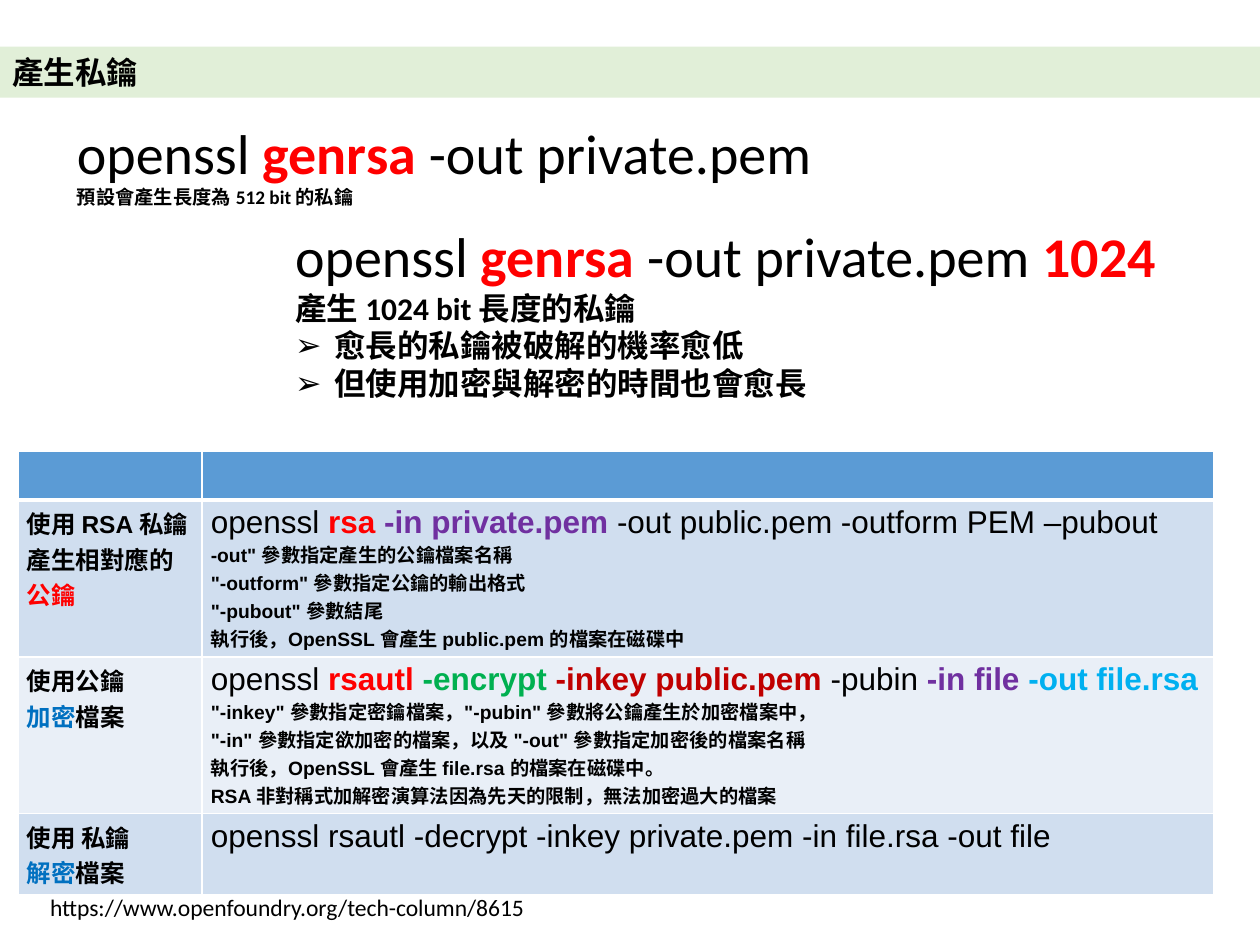
from lxml import etree
from pptx import Presentation
from pptx.dml.color import RGBColor
from pptx.enum.shapes import MSO_SHAPE
from pptx.enum.text import MSO_ANCHOR, PP_ALIGN
from pptx.oxml.ns import qn
from pptx.util import Cm, Pt

RECTANGLE = MSO_SHAPE.RECTANGLE
MIDDLE = MSO_ANCHOR.MIDDLE
LEFT = PP_ALIGN.LEFT

BLACK, RED, PURPLE, BLUE = "000000", "FF0000", "7030A0", "0070C0"
GREEN, DARK_RED, SKY = "00B050", "C00000", "00B0F0"
WHITE, HEADER, BAND_DARK, BAND_LIGHT = "FFFFFF", "5B9BD5", "D0DEEF", "E9EFF7"
BODY_FONT, TABLE_FONT = "Calibri", "Arial"
COMMAND_SIZE, NOTE_SIZE, TASK_SIZE = 18, 11, 14


def color(hex_code):
    return RGBColor.from_string(hex_code)


def line(size, *runs, bullet=None):
    """Describe a paragraph; each run is (text, colour, bold)."""
    return size, runs, bullet


def notes(*texts):
    return [line(NOTE_SIZE, (text, BLACK, True)) for text in texts]


def add_bullet(paragraph, mark):
    properties = paragraph._p.get_or_add_pPr()
    properties.set("marL", str(Cm(0.79)))
    properties.set("indent", str(-Cm(0.79)))
    bullet_color = etree.SubElement(properties, qn("a:buClr"))
    etree.SubElement(bullet_color, qn("a:srgbClr"), val=BLACK)
    etree.SubElement(properties, qn("a:buFont"), typeface=TABLE_FONT)
    etree.SubElement(properties, qn("a:buChar"), char=mark)


def write(frame, lines, font_name):
    frame.word_wrap = True
    for index, (size, runs, bullet) in enumerate(lines):
        paragraph = frame.add_paragraph() if index else frame.paragraphs[0]
        paragraph.alignment = LEFT
        if bullet:
            add_bullet(paragraph, bullet)
        for text, hex_code, bold in runs:
            run = paragraph.add_run()
            run.text = text
            run.font.name = font_name
            run.font.size = Pt(size)
            run.font.bold = bold
            run.font.color.rgb = color(hex_code)


def add_title_bar(slide, left, top, width, height):
    bar = slide.shapes.add_shape(RECTANGLE, Cm(left), Cm(top), Cm(width), Cm(height))
    bar.shadow.inherit = False
    bar.fill.solid()
    bar.fill.fore_color.rgb = color("E1EFD8")
    bar.line.fill.background()
    bar.text_frame.vertical_anchor = MIDDLE
    write(bar.text_frame, [line(18, ("產生私鑰", BLACK, True))], BODY_FONT)


def add_text(slide, left, top, width, height, lines):
    box = slide.shapes.add_textbox(Cm(left), Cm(top), Cm(width), Cm(height))
    write(box.text_frame, lines, BODY_FONT)


def style_cell(cell, fill):
    """Give the cell white borders, thick under the header, and a fill."""
    properties = cell._tc.get_or_add_tcPr()
    for side in ("lnL", "lnR", "lnT", "lnB"):
        points = 3 if fill == HEADER and side == "lnB" else 1
        border = etree.SubElement(properties, qn(f"a:{side}"), w=str(Pt(points)))
        solid = etree.SubElement(border, qn("a:solidFill"))
        etree.SubElement(solid, qn("a:srgbClr"), val=WHITE)
    cell.fill.solid()
    cell.fill.fore_color.rgb = color(fill)
    cell.margin_left = cell.margin_right = Cm(0.18)
    cell.margin_top = cell.margin_bottom = Cm(0.1)


def add_command_table(slide, left, top, column_widths, row_heights, rows):
    table = slide.shapes.add_table(
        len(row_heights), len(column_widths), Cm(left), Cm(top),
        Cm(sum(column_widths)), Cm(sum(row_heights))).table
    for column, width in zip(table.columns, column_widths):
        column.width = Cm(width)
    for row, height, (fill, *contents) in zip(table.rows, row_heights, rows):
        row.height = Cm(height)
        for cell, lines in zip(row.cells, contents):
            style_cell(cell, fill)
            write(cell.text_frame, lines, TABLE_FONT)


def genrsa_command(*ending):
    return line(32, ("openssl ", BLACK, False), ("genrsa", RED, True), *ending)


def file_task(first, action):
    return [line(TASK_SIZE, (first, BLACK, True)),
            line(TASK_SIZE, (action, BLUE, True), ("檔案", BLACK, True))]


DEFAULT_KEY = [
    genrsa_command((" -out private.pem", BLACK, False)),
    *notes("預設會產生長度為 512 bit 的私鑰"),
]
LONG_KEY = [
    genrsa_command((" -out private.pem ", BLACK, False), ("1024", RED, True)),
    line(18, ("產生 1024 bit 長度的私鑰", BLACK, True)),
    line(18, ("愈長的私鑰被破解的機率愈低", BLACK, True), bullet="➢"),
    line(18, ("但使用加密與解密的時間也會愈長", BLACK, True), bullet="➢"),
]
PUBLIC_KEY_TASK = [line(TASK_SIZE, ("使用 RSA 私鑰產生相對應的", BLACK, True),
                        ("公鑰", RED, True))]
PUBLIC_KEY_COMMAND = [
    line(COMMAND_SIZE, ("openssl ", BLACK, False), ("rsa ", RED, True),
         ("-in private.pem ", PURPLE, True),
         ("-out public.pem -outform PEM –pubout", BLACK, False)),
    *notes('-out" 參數指定產生的公鑰檔案名稱',
           '"-outform" 參數指定公鑰的輸出格式',
           '"-pubout" 參數結尾',
           "執行後，OpenSSL 會產生 public.pem 的檔案在磁碟中"),
]
ENCRYPT_COMMAND = [
    line(COMMAND_SIZE, ("openssl ", BLACK, False), ("rsautl ", RED, True),
         ("-encrypt ", GREEN, True), ("-inkey public.pem ", DARK_RED, True),
         ("-pubin ", BLACK, False), ("-in file ", PURPLE, True),
         ("-out file.rsa", SKY, True)),
    *notes('"-inkey" 參數指定密鑰檔案，"-pubin" 參數將公鑰產生於加密檔案中，',
           '"-in" 參數指定欲加密的檔案，以及 "-out" 參數指定加密後的檔案名稱',
           "執行後，OpenSSL 會產生 file.rsa 的檔案在磁碟中。",
           "RSA 非對稱式加解密演算法因為先天的限制，無法加密過大的檔案"),
]
DECRYPT_COMMAND = [line(COMMAND_SIZE, (
    "openssl rsautl -decrypt -inkey private.pem -in file.rsa -out file", BLACK, False))]
COMMAND_ROWS = [
    (HEADER, [], []),
    (BAND_DARK, PUBLIC_KEY_TASK, PUBLIC_KEY_COMMAND),
    (BAND_LIGHT, file_task("使用公鑰", "加密"), ENCRYPT_COMMAND),
    (BAND_DARK, file_task("使用 私鑰", "解密"), DECRYPT_COMMAND),
]
SOURCE = [line(13.5, ("https://www.openfoundry.org/tech-column/8615", BLACK, False))]


def main():
    presentation = Presentation()
    presentation.slide_width, presentation.slide_height = Cm(25.4), Cm(19.05)
    slide = presentation.slides.add_slide(presentation.slide_layouts[6])
    add_command_table(slide, 0.36, 9.1, (3.71, 20.4), (0.38, 2.72, 2.72, 1.32),
                      COMMAND_ROWS)
    add_text(slide, 0.76, 17.88, 10.24, 0.84, SOURCE)
    add_title_bar(slide, 0, 0.94, 25.4, 1.03)
    add_text(slide, 1.3, 2.26, 15.57, 2.08, DEFAULT_KEY)
    add_text(slide, 5.7, 4.34, 18.54, 3.94, LONG_KEY)
    presentation.save("out.pptx")


if __name__ == "__main__":
    main()
